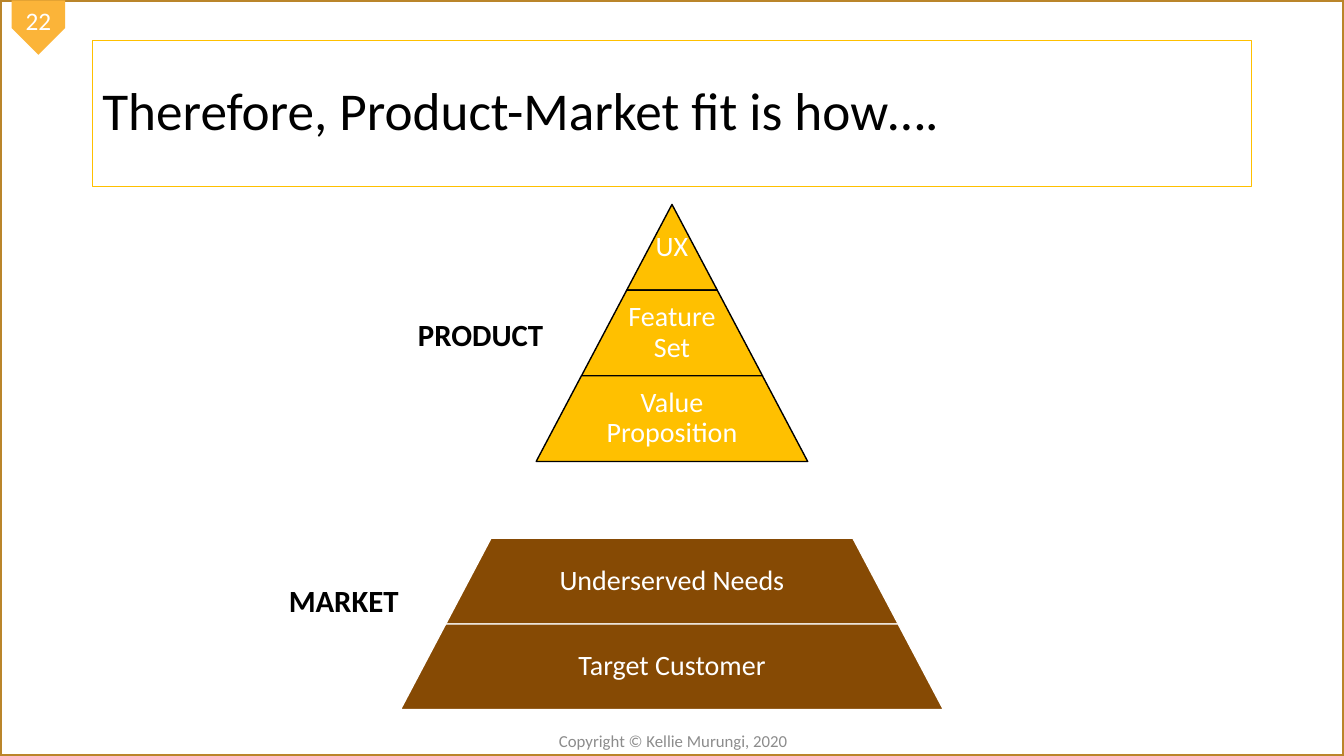
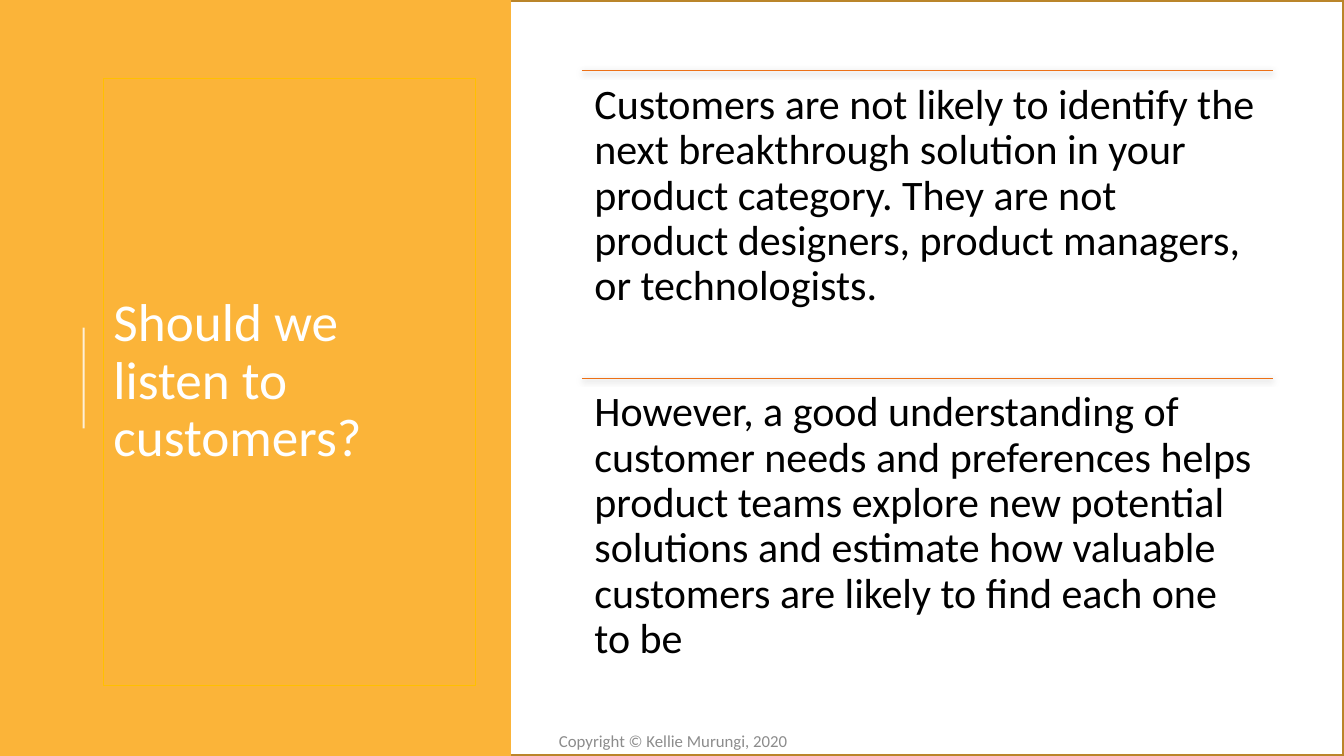
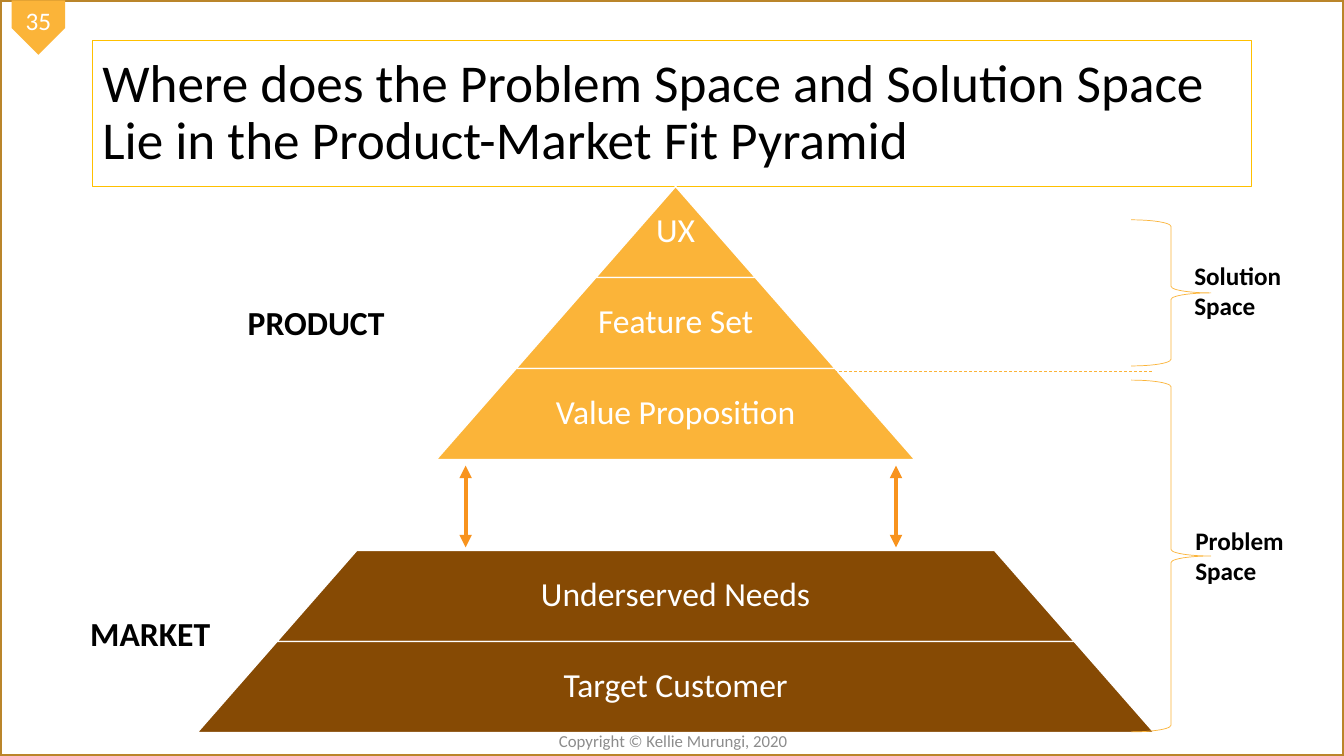
from lxml import etree
from pptx import Presentation
from pptx.dml.color import RGBColor
from pptx.enum.dml import MSO_LINE
from pptx.enum.shapes import MSO_CONNECTOR, MSO_SHAPE
from pptx.enum.text import MSO_ANCHOR, PP_ALIGN
from pptx.oxml.ns import qn
from pptx.util import Pt

FONT = "Calibri"
COLORS = {
    "frame": "BA852A", "amber": "FBB439", "gold": "FFC000",
    "brown": "864A04", "arrow": "F8931D", "rule": "EC7016",
    "grey": "8C8C8C", "black": "000000", "white": "FFFFFF",
}
WIDE, HIGH = 960, 540
FOOTER = "Copyright © Kellie Murungi, 2020"
HEAD = (66, 29, 828, 104.4)

PRODUCT = ["UX", "Feature Set", "Value Proposition"]
MARKET = ["Underserved Needs", "Target Customer"]

FIT = {
    "number": "22",
    "title": "Therefore, Product-Market fit is how….",
    "pyramid": {"mid": 480, "top": 146, "step": 64.65, "high": 61.2,
                "lift": 6.3, "size": 20, "fill": "gold", "line": "black"},
    "labels": [("PRODUCT", (267, 222, 152.6, 34)),
               ("MARKET", (169.2, 412, 152.6, 34))],
    "label size": 22,
}
SPACE = {
    "number": "35",
    "title": "Where does the Problem Space and Solution Space "
             "Lie in the Product-Market Fit Pyramid",
    "pyramid": {"mid": 482.6, "top": 133.2, "step": 113.9, "high": 65,
                "lift": 0, "size": 24, "fill": "amber", "line": "white"},
    "labels": [("PRODUCT", (118.5, 212.4, 214.6, 36)),
               ("MARKET", (0, 434, 214.6, 36))],
    "label size": 24,
}
BRACES = [  # brace top, brace height, label lines, label left, label top
    (157, 104.4, ["Solution Space"], 846, 182.2),
    (271.5, 251.3, ["Problem", "Space"], 846.7, 371.5),
]
ADVICE_TITLE = "Should we listen to customers?"
ADVICE = [
    "Customers are not likely to identify the next breakthrough solution in "
    "your product category. They are not product designers, product "
    "managers, or technologists.",
    "However, a good understanding of customer needs and preferences helps "
    "product teams explore new potential solutions and estimate how valuable "
    "customers are likely to find each one to be",
]


def rgb(name):
    return RGBColor.from_string(COLORS[name])


def pts(*nums):
    return [Pt(num) for num in nums]


def write(frame, lines, size, color="black", bold=False,
          align=PP_ALIGN.LEFT, anchor=MSO_ANCHOR.TOP, inset=None, space=1.0):
    frame.word_wrap = True
    frame.vertical_anchor = anchor
    if inset is not None:
        frame.margin_left = frame.margin_right = Pt(inset)
        frame.margin_top = frame.margin_bottom = Pt(inset)
    for i, line in enumerate(lines):
        para = frame.add_paragraph() if i else frame.paragraphs[0]
        para.alignment = align
        para.line_spacing = space
        run = para.add_run()
        run.text = line
        run.font.name = FONT
        run.font.size = Pt(size)
        run.font.bold = bold
        run.font.color.rgb = rgb(color)


def text(slide, at, lines, size, **style):
    box = slide.shapes.add_textbox(*pts(*at))
    write(box.text_frame, lines, size, **style)
    return box


def shape(slide, kind, at, fill=None, line=None, width=1):
    item = slide.shapes.add_shape(kind, *pts(*at))
    item.shadow.inherit = False
    if fill:
        item.fill.solid()
        item.fill.fore_color.rgb = rgb(fill)
    else:
        item.fill.background()
    if line:
        item.line.color.rgb = rgb(line)
        item.line.width = Pt(width)
    else:
        item.line.fill.background()
    return item


def link(slide, ends, color, width):
    """Draw a straight line; return it with its empty effect list."""
    item = slide.shapes.add_connector(MSO_CONNECTOR.STRAIGHT, *pts(*ends))
    item.line.color.rgb = rgb(color)
    item.line.width = Pt(width)
    effects = etree.SubElement(item.element.spPr, qn("a:effectLst"))
    return item, effects


def fade(parent, percent):
    """Set the opacity of the colour element."""
    etree.SubElement(parent, qn("a:alpha"), val=str(percent * 1000))


def start(deck):
    """Add a slide with the shared border and footer."""
    slide = deck.slides.add_slide(deck.slide_layouts[6])
    shape(slide, MSO_SHAPE.RECTANGLE, (0, 0, WIDE, HIGH),
          line="frame", width=2.25)
    text(slide, (334, 518.4, 293.8, 21.6), [FOOTER], 12, color="grey",
         align=PP_ALIGN.CENTER, anchor=MSO_ANCHOR.MIDDLE)
    return slide


def badge(slide, number):
    tag = shape(slide, MSO_SHAPE.PENTAGON, (8, 0.6, 38.9, 38.2), fill="amber")
    tag.rotation = 90
    write(tag.text_frame, [number], 18, color="white",
          align=PP_ALIGN.CENTER, anchor=MSO_ANCHOR.MIDDLE)
    tag.element.txBody.bodyPr.set("vert", "vert270")


def title(slide, words, at=HEAD, color="black"):
    box = text(slide, at, [words], 38, color=color,
               anchor=MSO_ANCHOR.MIDDLE, space=0.9)
    box.line.color.rgb = rgb("gold")
    box.line.width = Pt(0.75)


def tier(slide, plan, row, words, fill, line, lift=0):
    """Draw one pyramid level; each row is one step wider than the last."""
    step, high = plan["step"], plan["high"]
    wide = step * (row + 1)
    top = plan["top"] + row * high - lift
    slab = shape(slide, MSO_SHAPE.TRAPEZOID,
                 (plan["mid"] - wide / 2, top, wide, high), fill, line)
    slab.adjustments[0] = step / 2 / high
    room = wide * 0.65 if row else wide
    text(slide, (plan["mid"] - room / 2, top, room, high), [words],
         plan["size"], color="white", align=PP_ALIGN.CENTER,
         anchor=MSO_ANCHOR.MIDDLE, inset=2, space=0.9)


def pyramid(deck, page):
    slide = start(deck)
    badge(slide, page["number"])
    title(slide, page["title"])
    plan = page["pyramid"]
    for row, words in enumerate(PRODUCT):
        tier(slide, plan, row, words, plan["fill"], plan["line"])
    for row, words in enumerate(MARKET, len(PRODUCT) + 1):
        tier(slide, plan, row, words, "brown", "white", plan["lift"])
    for words, at in page["labels"]:
        text(slide, at, [words], page["label size"], bold=True,
             align=PP_ALIGN.CENTER)
    return slide


def advice(deck):
    slide = start(deck)
    shape(slide, MSO_SHAPE.RECTANGLE, (0, 0, 365, HIGH), fill="amber")
    bar, _ = link(slide, (59.8, 306, 59.8, 234), "white", 1.5)
    fade(next(bar.element.iter(qn("a:srgbClr"))), 80)
    title(slide, ADVICE_TITLE, (74, 56, 266, 433.4), "white")
    left, top, wide, high = 415.6, 50.4, 493.9, 219.6
    for i, words in enumerate(ADVICE):
        y = top + i * high
        _, effects = link(slide, (left, y, left + wide, y), "rule", 0.5)
        glow = etree.SubElement(
            effects, qn("a:outerShdw"), blurRad=str(Pt(4.5)),
            dist=str(Pt(1.5)), dir="5400000", rotWithShape="0")
        fade(etree.SubElement(glow, qn("a:srgbClr"), val=COLORS["black"]), 63)
        text(slide, (left, y, wide, high), [words], 30, inset=9, space=0.9)


def spaces(slide):
    """Add the arrows, the divider and the braces."""
    for x in (332.6, 640):
        arrow, _ = link(slide, (x, 332.6, x, 391), "arrow", 3)
        stroke = arrow.element.spPr.find(qn("a:ln"))
        for end in ("a:headEnd", "a:tailEnd"):
            etree.SubElement(stroke, qn(end), type="triangle")
    for top, high, lines, left, y in BRACES:
        shape(slide, MSO_SHAPE.RIGHT_BRACE, (808, top, 56.9, high),
              line="amber", width=0.5)
        text(slide, (left, y, 112, 51), lines, 18, bold=True)
    split, _ = link(slide, (596, 265, 824.4, 265), "amber", 0.5)
    split.line.dash_style = MSO_LINE.DASH


def main():
    deck = Presentation()
    deck.slide_width, deck.slide_height = pts(WIDE, HIGH)
    pyramid(deck, FIT)
    advice(deck)
    spaces(pyramid(deck, SPACE))
    deck.save("out.pptx")


if __name__ == "__main__":
    main()
